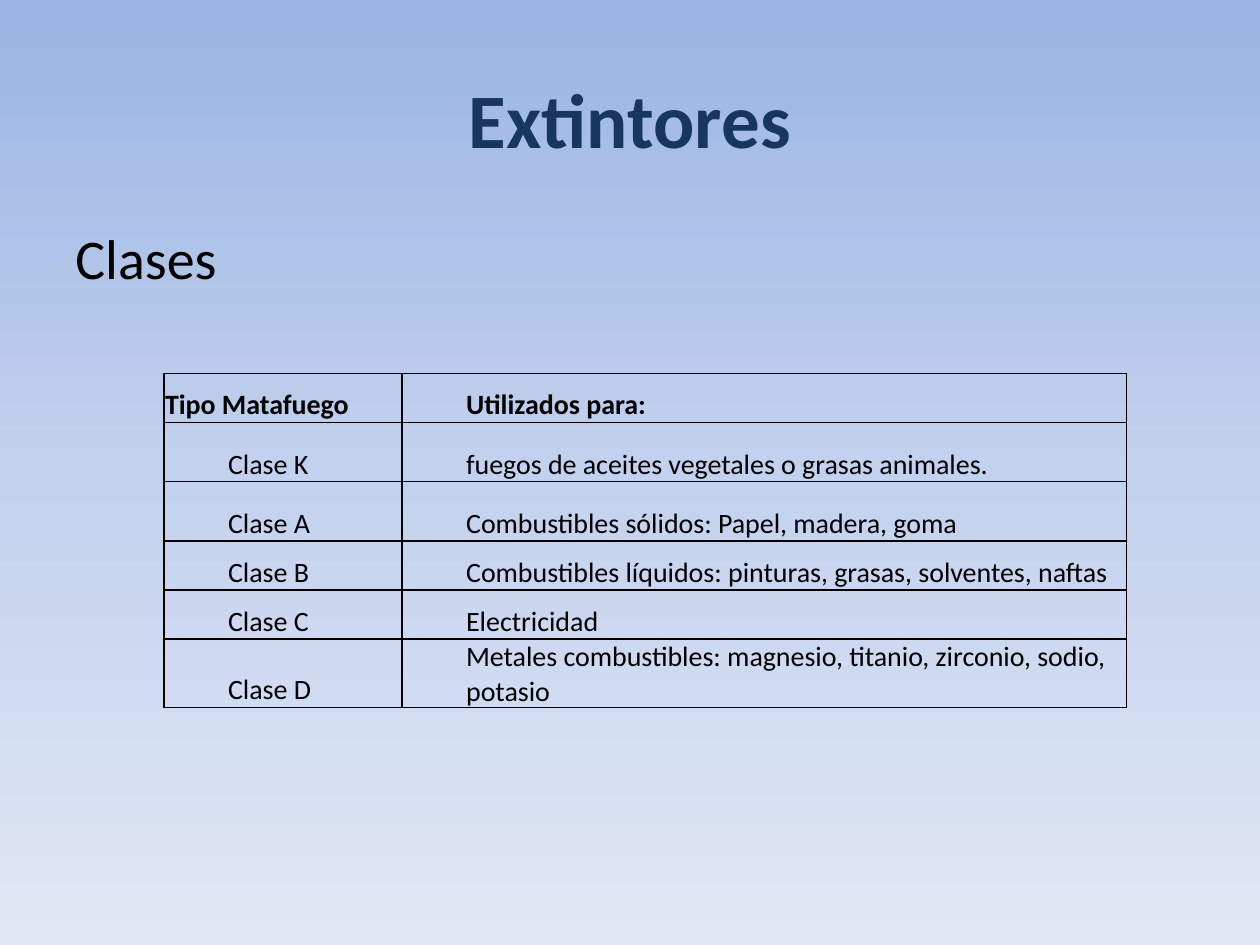
import copy
from dataclasses import dataclass

import pptx
import pptx.dml.color
import pptx.enum.text
import pptx.oxml
import pptx.oxml.ns
import pptx.util
from lxml import etree

Inches = pptx.util.Inches
Pt = pptx.util.Pt
qn = pptx.oxml.ns.qn
Anchor = pptx.enum.text.MSO_ANCHOR
Align = pptx.enum.text.PP_ALIGN


@dataclass(frozen=True)
class Theme:
    font: str = "Calibri"
    ink: str = "000000"
    heading: str = "17375E"
    sky: tuple = ((0, "9AB5E4"), (0.5, "C2D1ED"), (1, "E1E8F5"))
    title_size: int = 44
    body_size: int = 32
    table_size: int = 16
    border_width: int = 1


THEME = Theme()
WIDTH, HEIGHT = Inches(10), Inches(7.5)
MARGIN = 0.05  # share of the slide's width
COLUMNS = (1.89, 5.75)
ROWS = (0.39, 0.47, 0.47, 0.39, 0.39, 0.47)
INDENT = Inches(0.5)
CLASSES = (
    ("Tipo Matafuego", "Utilizados para:"),
    ("Clase K", "fuegos de aceites vegetales o grasas animales."),
    ("Clase A", "Combustibles sólidos: Papel, madera, goma"),
    ("Clase B", "Combustibles líquidos: pinturas, grasas, solventes, naftas"),
    ("Clase C", "Electricidad"),
    ("Clase D", "Metales combustibles: magnesio, titanio, zirconio, sodio, potasio"),
)


def rgb(value):
    return pptx.dml.color.RGBColor.from_string(value)


def paint_background(slide):
    fill = slide.background.fill
    fill.gradient()
    fill.gradient_angle = 270
    stops = slide.element.find(".//" + qn("a:gsLst"))
    stops.insert(1, copy.deepcopy(stops[0]))
    for stop, (position, color) in zip(fill.gradient_stops, THEME.sky):
        stop.position = position
        stop.color.rgb = rgb(color)


def write(frame, text, size, color=THEME.ink, bold=False):
    """Set one paragraph of text, style its run and return the paragraph."""
    frame.text = text
    paragraph = frame.paragraphs[0]
    font = paragraph.runs[0].font
    font.name, font.size, font.bold = THEME.font, Pt(size), bold
    font.color.rgb = rgb(color)
    return paragraph


def add_text_area(slide, top, height):
    """Add a box between the side margins; top and height are slide shares."""
    box = slide.shapes.add_textbox(
        int(WIDTH * MARGIN), int(HEIGHT * top),
        int(WIDTH * (1 - 2 * MARGIN)), int(HEIGHT * height))
    box.text_frame.word_wrap = True
    return box.text_frame


def add_borders(cell):
    properties = cell._tc.get_or_add_tcPr()
    for index, side in enumerate(("lnL", "lnR", "lnT", "lnB")):
        line = etree.Element(qn("a:" + side), w=str(Pt(THEME.border_width)))
        fill = etree.SubElement(line, qn("a:solidFill"))
        etree.SubElement(fill, qn("a:srgbClr"), val=THEME.ink)
        properties.insert(index, line)


def fill_cell(cell, text, is_header, is_indented):
    cell.fill.background()
    cell.vertical_anchor = Anchor.BOTTOM
    cell.margin_left = cell.margin_right = cell.margin_top = Inches(0.01)
    cell.margin_bottom = 0
    paragraph = write(cell.text_frame, text, THEME.table_size, bold=is_header)
    if is_indented:
        paragraph.level = 1
        paragraph._p.get_or_add_pPr().set("marL", str(INDENT))
    add_borders(cell)


def add_class_table(slide, left, top):
    table = slide.shapes.add_table(
        len(ROWS), len(COLUMNS), int(WIDTH * left), int(HEIGHT * top),
        Inches(sum(COLUMNS)), Inches(sum(ROWS))).table
    table.first_row = table.horz_banding = False
    for column, width in zip(table.columns, COLUMNS):
        column.width = Inches(width)
    for row, height in zip(table.rows, ROWS):
        row.height = Inches(height)
    for r, texts in enumerate(CLASSES):
        for c, text in enumerate(texts):
            fill_cell(table.cell(r, c), text, r == 0, r + c > 0)


def main():
    deck = pptx.Presentation()
    deck.slide_width, deck.slide_height = WIDTH, HEIGHT
    slide = deck.slides.add_slide(deck.slide_layouts[6])
    paint_background(slide)

    title = add_text_area(slide, 0.04, 0.17)
    title.vertical_anchor = Anchor.MIDDLE
    write(title, "Extintores", THEME.title_size, THEME.heading, True).alignment = Align.CENTER

    write(add_text_area(slide, 0.23, 0.66), "Clases", THEME.body_size)
    add_class_table(slide, 0.13, 0.395)
    deck.save("out.pptx")


if __name__ == "__main__":
    main()
